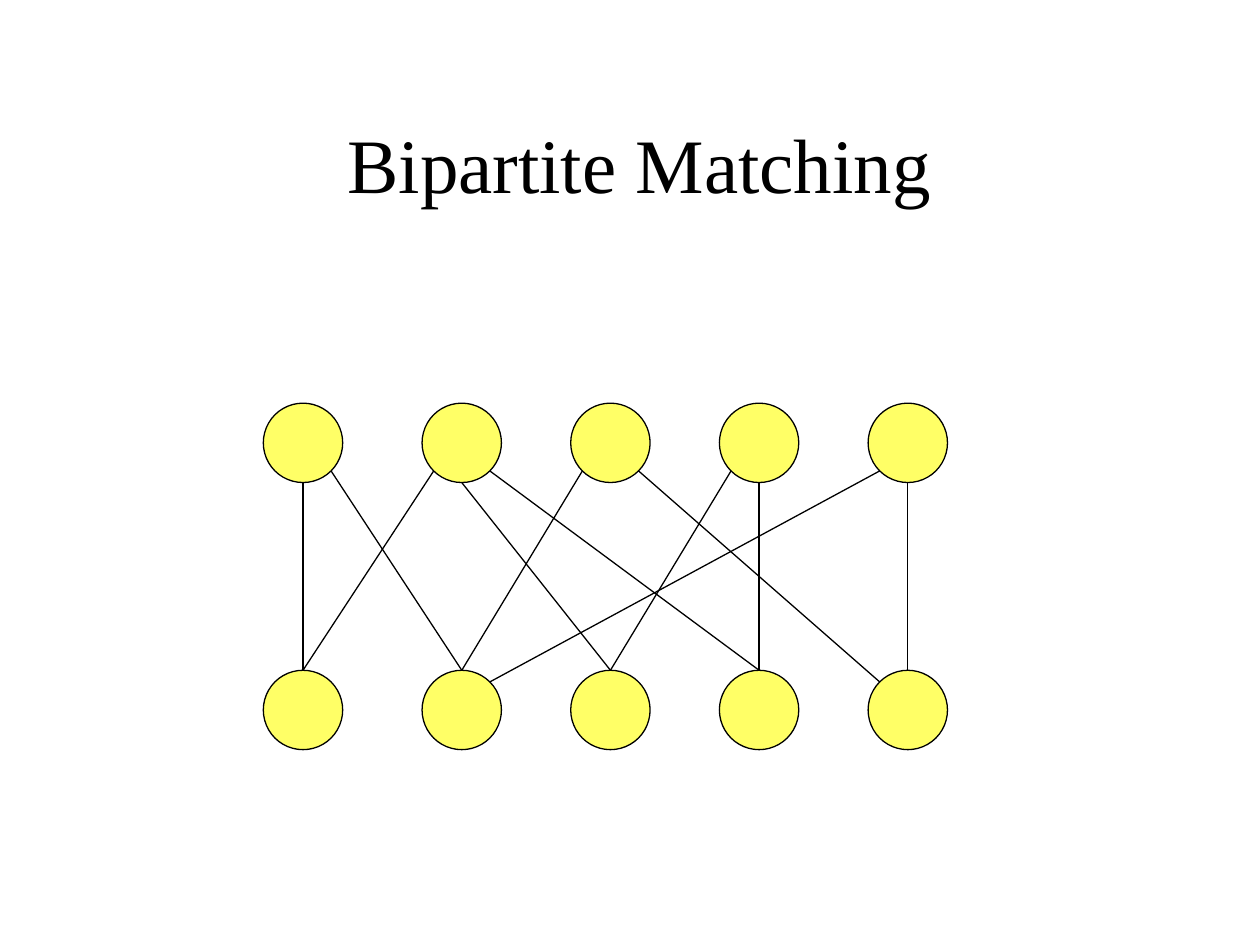
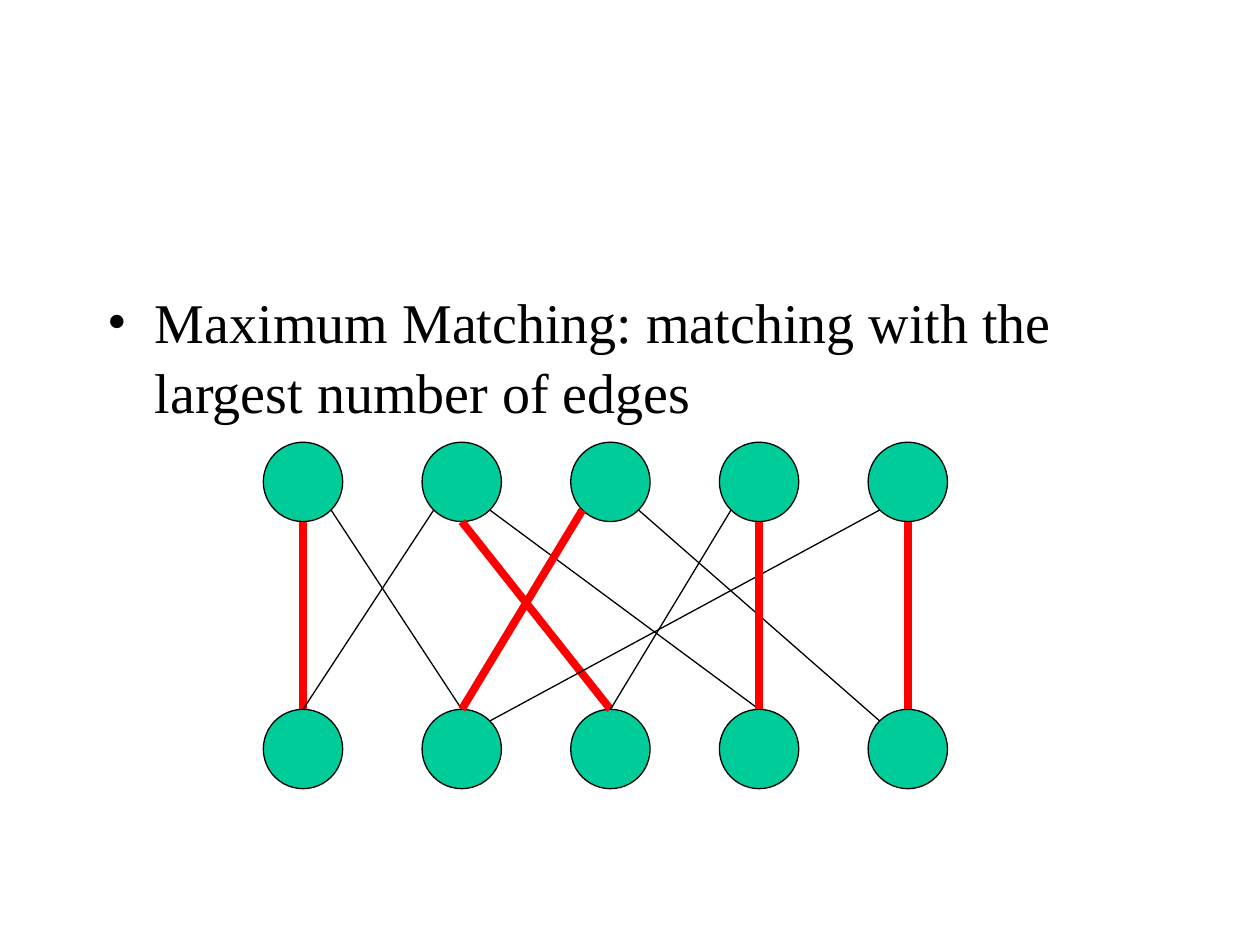
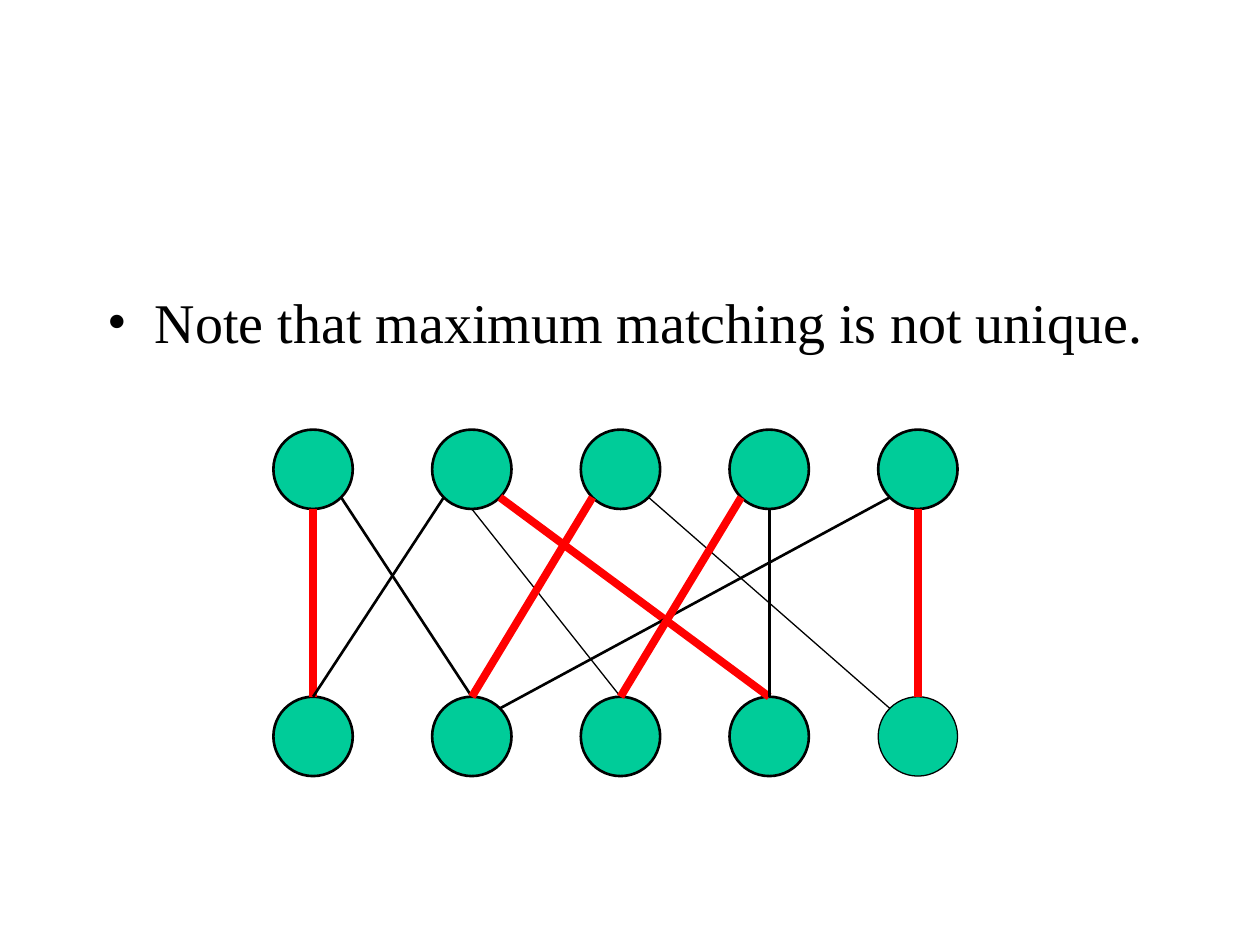
from dataclasses import dataclass
from math import sqrt

from pptx import Presentation
from pptx.dml.color import RGBColor as RGB
from pptx.enum.shapes import MSO_CONNECTOR as Connector, MSO_SHAPE as Shape
from pptx.enum.text import MSO_ANCHOR as Anchor, MSO_AUTO_SIZE as AutoSize, PP_ALIGN as Align
from pptx.oxml.ns import qn
from pptx.util import Inches, Pt


@dataclass(frozen=True)
class Theme:
    font: str = "Times New Roman"
    ink: RGB = RGB(0x00, 0x00, 0x00)
    matched: RGB = RGB(0xFF, 0x00, 0x00)
    yellow: RGB = RGB(0xFF, 0xFF, 0x66)
    green: RGB = RGB(0x00, 0xCC, 0x99)
    title_size: float = 44
    body_size: float = 32
    thin: float = 0.75
    medium: float = 1.5
    thick: float = 4.5


theme = Theme()

TITLE_BOX = (0.75, 0.67, 8.5, 1.25)
BODY_BOX = (0.75, 2.17, 8.5, 4.5)
NODE_SIZE = 0.63
RADIUS = NODE_SIZE / 2
DIAGONAL = RADIUS / sqrt(2)
ROW_STEP = 2.12
COLUMNS = [0] + [1.26 + 1.18 * i for i in range(4)]
LEFT, MIDDLE, RIGHT = -1, 0, 1

EDGES = [
    (0, RIGHT, 1, MIDDLE),
    (0, MIDDLE, 0, MIDDLE),
    (1, RIGHT, 3, MIDDLE),
    (1, MIDDLE, 2, MIDDLE),
    (1, LEFT, 0, MIDDLE),
    (4, LEFT, 1, RIGHT),
    (4, MIDDLE, 4, MIDDLE),
    (2, RIGHT, 4, LEFT),
    (3, LEFT, 2, MIDDLE),
    (3, MIDDLE, 3, MIDDLE),
    (2, LEFT, 1, MIDDLE),
]

SLIDES = [
    dict(title=" Bipartite Matching", origin=(2.09, 3.2), fill=theme.yellow,
         weight=theme.thin, matching=set(), thin_edges=set(), thin_nodes=set()),
    dict(body="Maximum Matching: matching with the largest number of edges",
         origin=(2.09, 3.51), fill=theme.green, weight=theme.thin,
         matching={(0, 0), (1, 2), (2, 1), (3, 3), (4, 4)},
         thin_edges=set(), thin_nodes=set()),
    dict(body="Note that maximum matching is not unique.",
         origin=(2.17, 3.41), fill=theme.green, weight=theme.medium,
         matching={(0, 0), (1, 3), (2, 1), (3, 2), (4, 4)},
         thin_edges={(1, 2), (2, 4)}, thin_nodes={(1, 4)}),
]


def write_text(holder, text, box, size, frame_format):
    holder.left, holder.top, holder.width, holder.height = map(Inches, box)
    frame = holder.text_frame
    frame.text = text
    for name, value in frame_format.items():
        setattr(frame, name, value)
    paragraph = frame.paragraphs[0]
    paragraph.space_before = Pt(0)
    for name, value in dict(name=theme.font, size=Pt(size)).items():
        setattr(paragraph.runs[0].font, name, value)
    paragraph.runs[0].font.color.rgb = theme.ink
    return paragraph


def rim_point(origin, row, column, side):
    x = origin[0] + COLUMNS[column] + RADIUS + side * DIAGONAL
    drop = DIAGONAL if side else RADIUS
    y = origin[1] + row * ROW_STEP + RADIUS + (-drop if row else drop)
    return Inches(x), Inches(y)


deck = Presentation()
deck.slide_width, deck.slide_height = Inches(10), Inches(7.5)
content_layout, title_layout = deck.slide_layouts[1], deck.slide_layouts[5]

for content in SLIDES:
    if "title" in content:
        slide = deck.slides.add_slide(title_layout)
        heading = write_text(slide.shapes.title, content["title"], TITLE_BOX, theme.title_size,
                             dict(vertical_anchor=Anchor.MIDDLE, auto_size=AutoSize.NONE))
        heading.alignment = Align.CENTER
    else:
        slide = deck.slides.add_slide(content_layout)
        empty_title = slide.shapes.title.element
        empty_title.getparent().remove(empty_title)
        statement = write_text(slide.placeholders[1], content["body"], BODY_BOX, theme.body_size,
                               dict(vertical_anchor=Anchor.TOP, auto_size=AutoSize.NONE,
                                    margin_top=Inches(0.09)))
        statement.line_spacing = 1.04
        properties = statement._p.get_or_add_pPr()
        properties.set("marL", str(Inches(0.38)))
        properties.set("indent", str(Inches(-0.38)))
        for tag, key, value in (("a:buFont", "typeface", theme.font), ("a:buChar", "char", "•")):
            bullet = properties.makeelement(qn(tag), {key: value})
            properties.append(bullet)

    origin = content["origin"]
    for row in range(2):
        for column, offset in enumerate(COLUMNS):
            node = slide.shapes.add_shape(
                Shape.OVAL, Inches(origin[0] + offset), Inches(origin[1] + row * ROW_STEP),
                Inches(NODE_SIZE), Inches(NODE_SIZE))
            node.shadow.inherit = False
            node.fill.solid()
            node.fill.fore_color.rgb = content["fill"]
            node.line.color.rgb = theme.ink
            is_thin = (row, column) in content["thin_nodes"]
            node.line.width = Pt(theme.thin if is_thin else content["weight"])

    for upper, upper_side, lower, lower_side in EDGES:
        edge = slide.shapes.add_connector(
            Connector.STRAIGHT,
            *rim_point(origin, 0, upper, upper_side),
            *rim_point(origin, 1, lower, lower_side))
        properties = edge._element.spPr
        pair = (upper, lower)
        is_matched = pair in content["matching"]
        edge.line.color.rgb = theme.matched if is_matched else theme.ink
        weight = theme.thin if pair in content["thin_edges"] else content["weight"]
        edge.line.width = Pt(theme.thick if is_matched else weight)
        properties.append(properties.makeelement(qn("a:effectLst"), {}))

deck.save("out.pptx")
